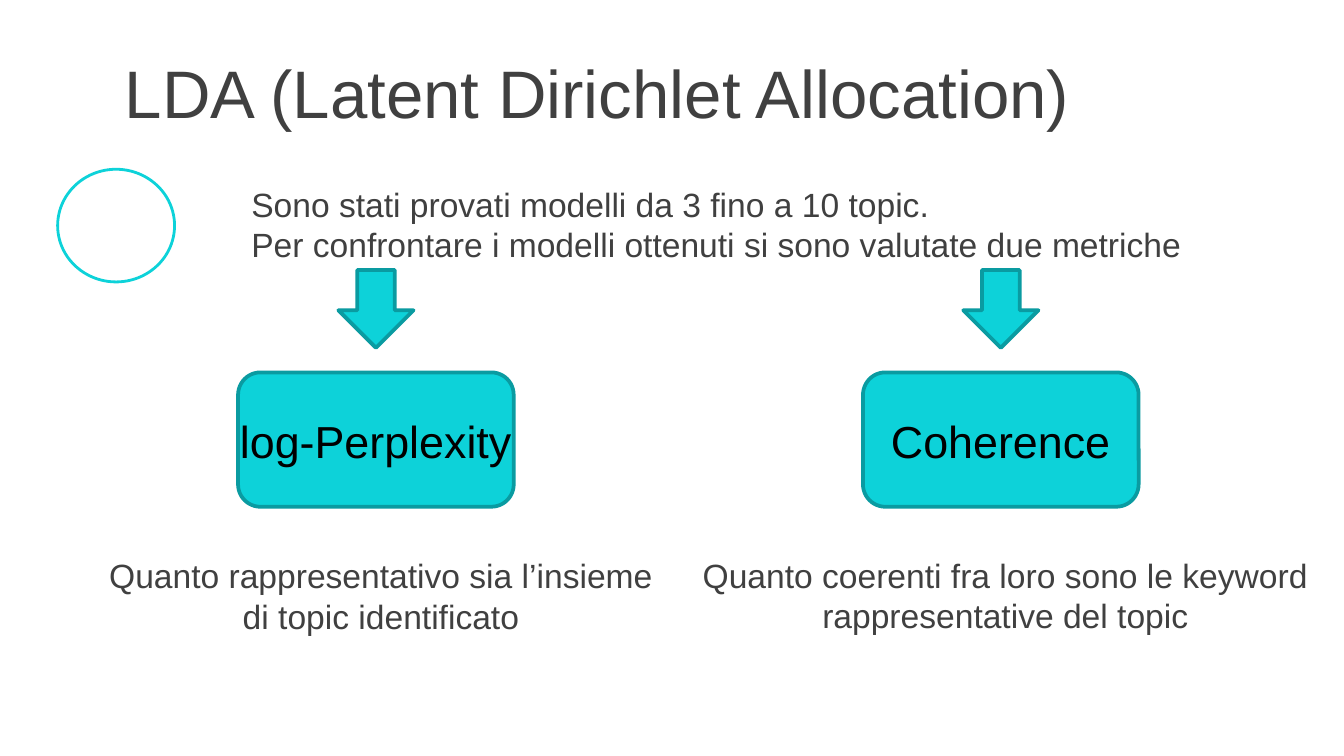
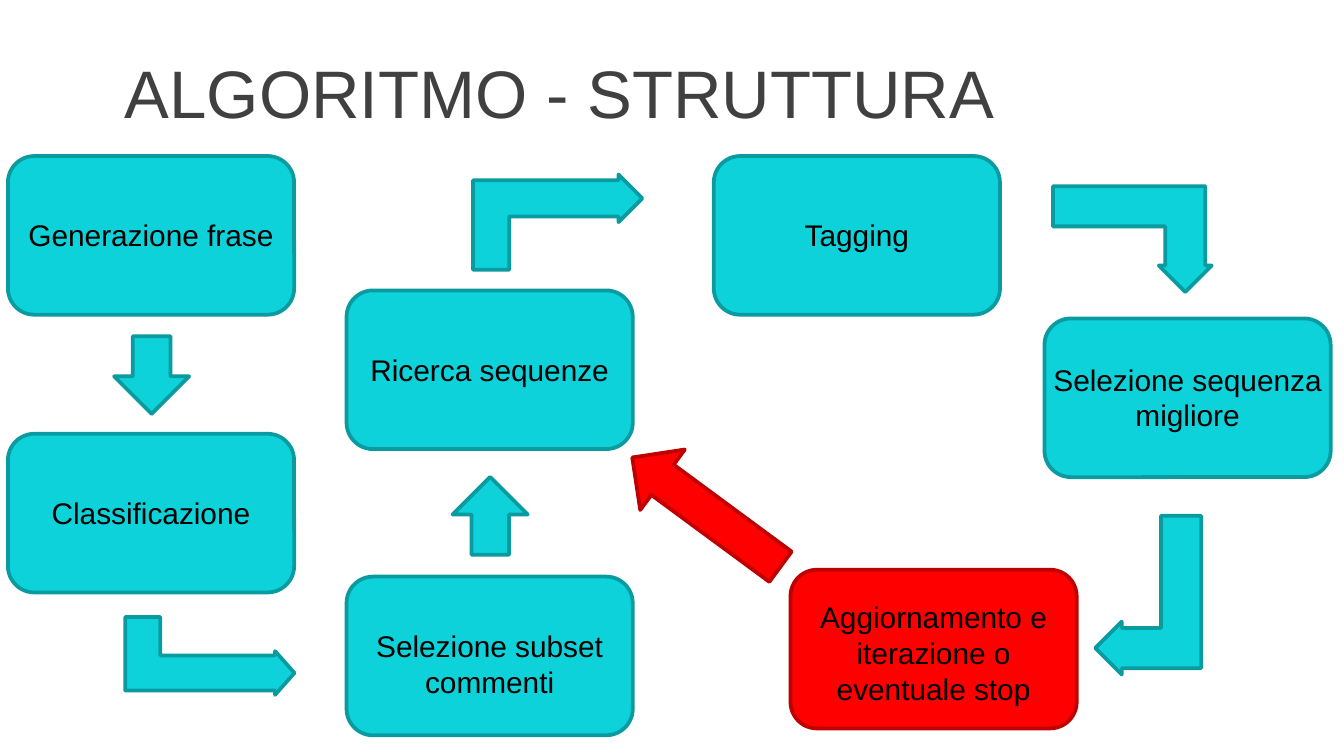
from dataclasses import dataclass

from pptx import Presentation
from pptx.dml.color import RGBColor
from pptx.enum.shapes import MSO_SHAPE as Preset
from pptx.enum.text import MSO_ANCHOR as Anchor, MSO_AUTO_SIZE as AutoSize, PP_ALIGN as Align
from pptx.shapes.autoshape import Shape
from pptx.slide import Slide
from pptx.util import Cm, Pt


@dataclass(frozen=True)
class Paint:
    fill: RGBColor
    line: RGBColor
    weight: float = 2


@dataclass(frozen=True)
class Theme:
    font: str = "Arial"
    ink: RGBColor = RGBColor(0x40, 0x40, 0x40)
    label_ink: RGBColor = RGBColor(0, 0, 0)
    cyan: Paint = Paint(RGBColor(0x0D, 0xD2, 0xD9), RGBColor(0x0A, 0x9B, 0xA1))
    red: Paint = Paint(RGBColor(0xFF, 0, 0), RGBColor(0xC0, 0, 0))
    ring: Paint = Paint(RGBColor(0xFF, 0xFF, 0xFF), RGBColor(0x0D, 0xD2, 0xD9), 1.5)
    title_size: int = 36
    metric_size: int = 24
    body_size: int = 18
    step_size: int = 16


THEME = Theme()


@dataclass(frozen=True)
class Area:
    """Left, top, width and height in centimetres."""
    left: float
    top: float
    width: float
    height: float

    def lengths(self) -> tuple[Cm, Cm, Cm, Cm]:
        return Cm(self.left), Cm(self.top), Cm(self.width), Cm(self.height)


@dataclass(frozen=True)
class Metric:
    name: str
    left: float
    meaning: str
    meaning_area: Area
    meaning_anchor: Anchor


@dataclass(frozen=True)
class Step:
    """A card of the flow; nudge moves its label below the card's middle."""
    label: str
    left: float
    top: float
    label_width: float
    lines: int = 1
    nudge: float = 0
    paint: Paint = THEME.cyan


@dataclass(frozen=True)
class Arrow:
    preset: Preset
    area: Area
    rotation: float = 0
    adjustments: tuple[float, ...] = ()
    paint: Paint = THEME.cyan


BEND = (0.38, 0.25, 0.25, 0)
ARROW_WIDTH, ARROW_HEIGHT = 1.47, 1.42
METRIC_WIDTH, METRIC_HEIGHT, METRIC_TOP = 5.21, 2.54, 7.04
STEP_WIDTH, STEP_HEIGHT = 5.41, 3.0
LABEL_PADDING, LABEL_LINE = 0.25, 0.69

INTRO = (
    "Sono stati provati modelli da 3 fino a 10 topic.\n"
    "Per confrontare i modelli ottenuti si sono valutate due metriche"
)

METRICS = (
    Metric("log-Perplexity", 4.5,
           "Quanto rappresentativo sia l’insieme di topic identificato",
           Area(1.7, 10.36, 11, 1.8), Anchor.MIDDLE),
    Metric("Coherence", 16.31,
           "Quanto coerenti fra loro sono le keyword rappresentative del topic",
           Area(12.65, 10.36, 12.7, 1.8), Anchor.TOP),
)

STEPS = (
    Step("Generazione frase", 0.15, 2.95, 6.32),
    Step("Classificazione", 0.15, 8.2, 6.32),
    Step("Selezione subset commenti", 6.55, 10.9, 6.32, lines=2, nudge=0.15),
    Step("Ricerca sequenze", 6.55, 5.49, 6.32),
    Step("Tagging", 13.49, 2.95, 5.87),
    Step("Selezione sequenza migliore", 19.74, 6.02, 5.87, lines=2),
    Step("Aggiornamento e iterazione o eventuale stop", 14.94, 10.77, 5.87,
         lines=3, nudge=0.09, paint=THEME.red),
)


def straight_arrow(left: float, top: float, rotation: float) -> Arrow:
    return Arrow(Preset.RIGHT_ARROW, Area(left, top, ARROW_WIDTH, ARROW_HEIGHT), rotation)


FLOW_ARROWS = (
    straight_arrow(2.13, 6.38, 90),
    Arrow(Preset.BENT_UP_ARROW, Area(3.23, 10.8, 1.47, 3.2), 90, (0.452, 0.281, 0.25)),
    straight_arrow(8.53, 9.04, 270),
    Arrow(Preset.BENT_ARROW, Area(8.94, 3.3, 3.2, 1.8), 0, BEND),
    Arrow(Preset.BENT_ARROW, Area(20.4, 3.02, 2, 3), 90, BEND),
    Arrow(Preset.BENT_ARROW, Area(20.7, 9.75, 2, 3), 180, BEND),
    Arrow(Preset.RIGHT_ARROW, Area(11.61, 8.97, 3.48, ARROW_HEIGHT), 216.4,
          paint=THEME.red),
)


def add_figure(page: Slide, preset: Preset, area: Area, paint: Paint) -> Shape:
    figure = page.shapes.add_shape(preset, *area.lengths())
    figure.shadow.inherit = False
    figure.fill.solid()
    figure.fill.fore_color.rgb = paint.fill
    figure.line.color.rgb = paint.line
    figure.line.width = Pt(paint.weight)
    return figure


def add_arrow(page: Slide, arrow: Arrow) -> None:
    figure = add_figure(page, arrow.preset, arrow.area, arrow.paint)
    figure.rotation = arrow.rotation
    for index, value in enumerate(arrow.adjustments):
        figure.adjustments[index] = value


def add_text(page: Slide, text: str, area: Area, size: int, color: RGBColor = THEME.ink,
             align: Align = Align.CENTER, anchor: Anchor = Anchor.TOP,
             grow: bool = True) -> None:
    box = page.shapes.add_textbox(*area.lengths())
    frame = box.text_frame
    frame.word_wrap = True
    frame.auto_size = AutoSize.SHAPE_TO_FIT_TEXT if grow else AutoSize.NONE
    frame.vertical_anchor = anchor
    frame.text = text
    for para in frame.paragraphs:
        para.alignment = align
        for span in para.runs:
            span.font.name = THEME.font
            span.font.size = Pt(size)
            span.font.color.rgb = color


def add_page(deck: Presentation, title: str) -> Slide:
    page = deck.slides.add_slide(deck.slide_layouts[6])
    add_text(page, title, Area(2.11, 0.94, 23.29, 1.6), THEME.title_size,
             align=Align.LEFT, anchor=Anchor.MIDDLE, grow=False)
    return page


def add_metric(page: Slide, metric: Metric) -> None:
    """Draw the arrow, the named card and the meaning below it."""
    card = Area(metric.left, METRIC_TOP, METRIC_WIDTH, METRIC_HEIGHT)
    add_figure(page, Preset.ROUNDED_RECTANGLE, card, THEME.cyan)
    add_text(page, metric.name, Area(metric.left - 0.36, METRIC_TOP + 0.66, 5.92, 1.27),
             THEME.metric_size, THEME.label_ink)
    arrow_left = metric.left + (METRIC_WIDTH - ARROW_WIDTH) / 2
    add_arrow(page, straight_arrow(arrow_left, 5.13, 90))
    add_text(page, metric.meaning, metric.meaning_area, THEME.body_size,
             anchor=metric.meaning_anchor)


def add_step(page: Slide, step: Step) -> None:
    card = Area(step.left, step.top, STEP_WIDTH, STEP_HEIGHT)
    add_figure(page, Preset.ROUNDED_RECTANGLE, card, step.paint)
    height = LABEL_PADDING + LABEL_LINE * step.lines
    label_area = Area(step.left + (STEP_WIDTH - step.label_width) / 2,
                      step.top + (STEP_HEIGHT - height) / 2 + step.nudge,
                      step.label_width, height)
    add_text(page, step.label, label_area, THEME.step_size, THEME.label_ink)


def build_metrics_page(deck: Presentation) -> None:
    page = add_page(deck, "LDA (Latent Dirichlet Allocation)")
    add_figure(page, Preset.OVAL, Area(1.09, 3.2, 2.21, 2.13), THEME.ring)
    add_text(page, INTRO, Area(4.5, 3.33, 18.39, 1.8), THEME.body_size,
             align=Align.JUSTIFY, anchor=Anchor.MIDDLE)
    for metric in METRICS:
        add_metric(page, metric)


def build_algorithm_page(deck: Presentation) -> None:
    page = add_page(deck, "ALGORITMO - STRUTTURA")
    for step in STEPS:
        add_step(page, step)
    for arrow in FLOW_ARROWS:
        add_arrow(page, arrow)


def main() -> None:
    deck = Presentation()
    deck.slide_width, deck.slide_height = Cm(25.4), Cm(14.29)
    build_metrics_page(deck)
    build_algorithm_page(deck)
    deck.save("out.pptx")


if __name__ == "__main__":
    main()
